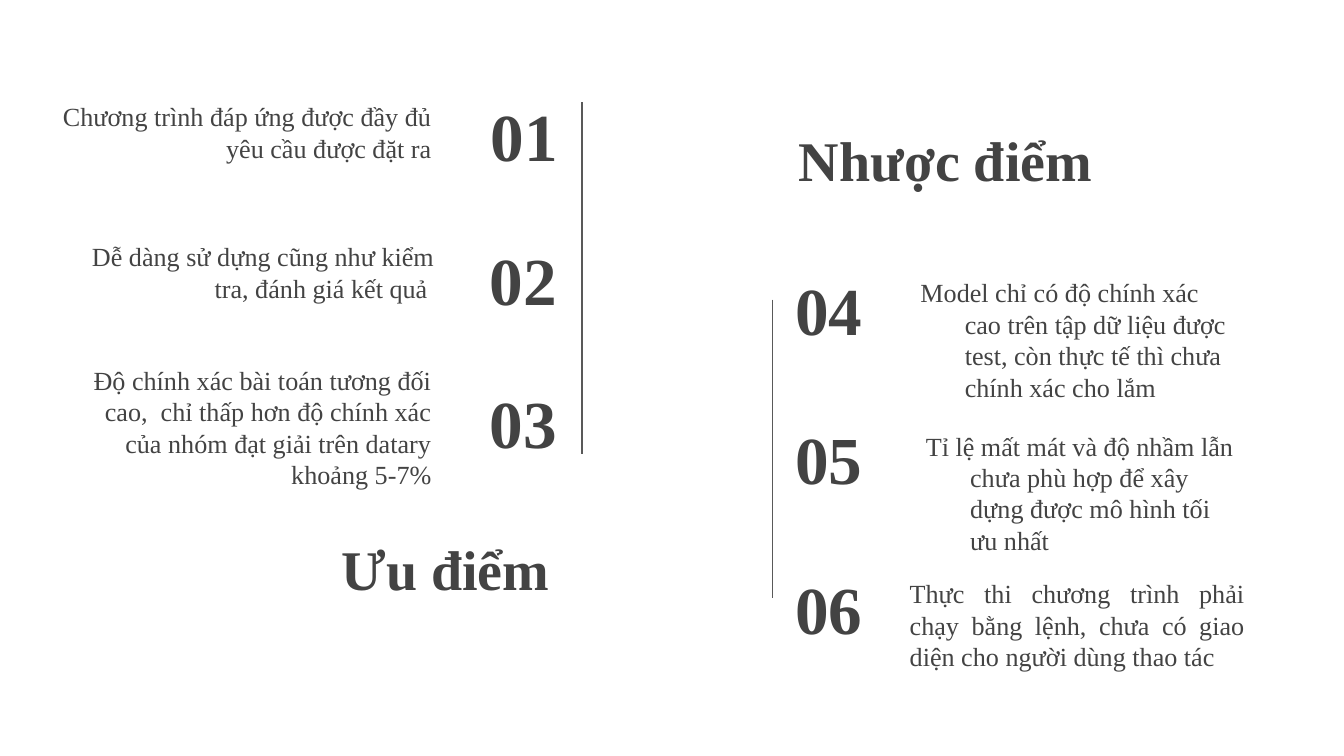
from dataclasses import dataclass

from lxml.etree import SubElement
from pptx import Presentation
from pptx.dml.color import RGBColor
from pptx.enum.shapes import MSO_CONNECTOR as Conn
from pptx.enum.text import MSO_ANCHOR as Anchor, PP_ALIGN as Align
from pptx.oxml.ns import qn
from pptx.slide import Slide
from pptx.util import Inches, Pt

FONT = "Times New Roman"
INK = RGBColor(0x43, 0x43, 0x43)
RULE = RGBColor(0x59, 0x59, 0x59)


@dataclass
class Box:
    left: float
    top: float
    width: float
    height: float


@dataclass
class Point:
    """A number and the remark beside it."""
    num: str
    num_box: Box
    text: str
    box: Box
    align: Align = Align.LEFT
    hang: bool = True


PROS = [
    Point("01", Box(3.04, 0.69, 1.21, 0.63),
          "Chương trình đáp ứng được đầy đủ yêu cầu được đặt ra",
          Box(0.13, 0.65, 3.18, 0.63), Align.RIGHT),
    Point("02", Box(3.03, 1.76, 1.21, 0.63),
          "Dễ dàng sử dựng cũng như kiểm tra, đánh giá kết quả ",
          Box(0.15, 1.69, 3.18, 0.63), Align.RIGHT),
    Point("03", Box(3.03, 2.82, 1.21, 0.63),
          "Độ chính xác bài toán tương đối cao,  chỉ thấp hơn độ chính xác "
          "của nhóm đạt giải trên datary khoảng 5-7%",
          Box(0.13, 2.61, 3.18, 1.03), Align.RIGHT),
]
CONS = [
    Point("04", Box(5.82, 1.98, 1.17, 0.63),
          "Model chỉ có độ chính xác cao trên tập dữ liệu được test, "
          "còn thực tế thì chưa chính xác cho lắm",
          Box(6.58, 1.96, 2.69, 1.03)),
    Point("05", Box(5.82, 3.09, 1.17, 0.63),
          "Tỉ lệ mất mát và độ nhầm lẫn chưa phù hợp để xây dựng được "
          "mô hình tối ưu nhất",
          Box(6.62, 3.1, 2.69, 1.03)),
    Point("06", Box(5.82, 4.21, 1.17, 0.63),
          "Thực thi chương trình phải chạy bằng lệnh, chưa có giao diện "
          "cho người dùng thao tác",
          Box(6.67, 4.2, 2.69, 0.87), Align.JUSTIFY, hang=False),
]


def add_text(slide: Slide, text: str, box: Box, *, size: int = 14,
             bold: bool = False, align: Align = Align.LEFT,
             anchor: Anchor = Anchor.TOP, hang: bool = False) -> None:
    shape = slide.shapes.add_textbox(Inches(box.left), Inches(box.top),
                                     Inches(box.width), Inches(box.height))
    frame = shape.text_frame
    frame.word_wrap = True
    frame.vertical_anchor = anchor
    frame.margin_left = frame.margin_right = Inches(0.1)
    frame.margin_top = frame.margin_bottom = Inches(0.1)
    para = frame.paragraphs[0]
    para.alignment = align
    if hang:
        props = para._p.get_or_add_pPr()
        props.set("marL", str(Inches(0.5)))
        props.set("indent", str(Inches(-0.33)))
    run = para.add_run()
    run.text = text
    font = run.font
    font.name, font.size, font.bold = FONT, Pt(size), bold
    font.color.rgb = INK


def add_point(slide: Slide, point: Point) -> None:
    side = Align.RIGHT if point.align == Align.RIGHT else Align.LEFT
    add_text(slide, point.num, point.num_box, size=36, bold=True,
             align=side, anchor=Anchor.MIDDLE)
    add_text(slide, point.text, point.box, align=point.align, hang=point.hang)


def add_rule(slide: Slide, x: float, top: float, end: float) -> None:
    line = slide.shapes.add_connector(Conn.STRAIGHT, Inches(x), Inches(top),
                                      Inches(x), Inches(end))
    line.line.color.rgb = RULE
    line.line.width = Pt(0.75)
    SubElement(line._element.spPr, qn("a:effectLst"))


def main() -> None:
    deck = Presentation()
    deck.slide_width = Inches(10)
    deck.slide_height = Inches(10 * 9 / 16)
    slide = deck.slides.add_slide(deck.slide_layouts[6])
    for text, box in (("Ưu điểm", Box(2.12, 3.71, 2.39, 1.03)),
                      ("Nhược điểm", Box(5.74, 0.67, 2.59, 1.03))):
        add_text(slide, text, box, size=30, bold=True, align=Align.CENTER,
                 anchor=Anchor.MIDDLE)
    add_rule(slide, 4.33, 0.76, 3.38)
    add_rule(slide, 5.75, 2.23, 4.45)
    for point in PROS + CONS:
        add_point(slide, point)
    deck.save("out.pptx")


if __name__ == "__main__":
    main()
